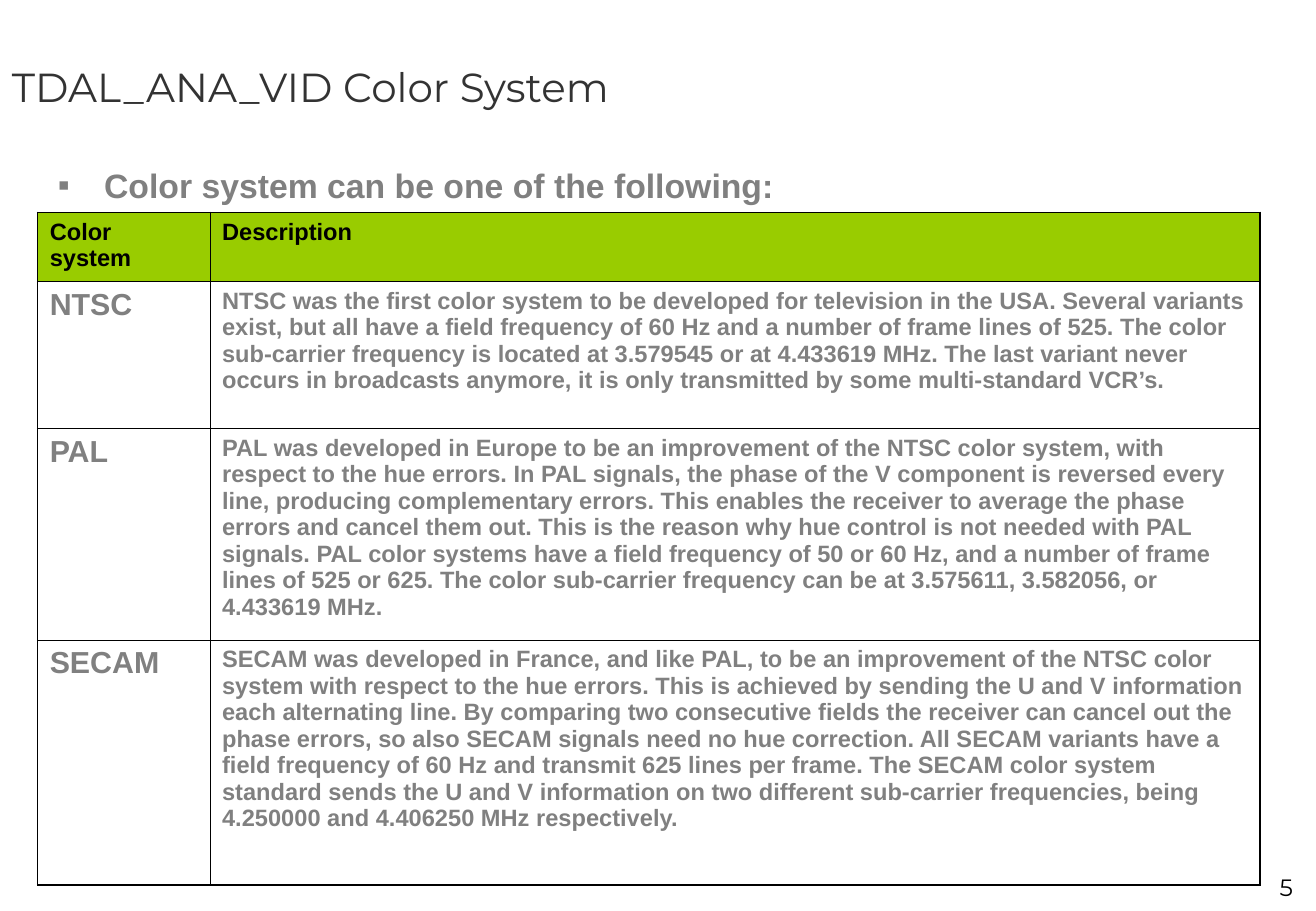
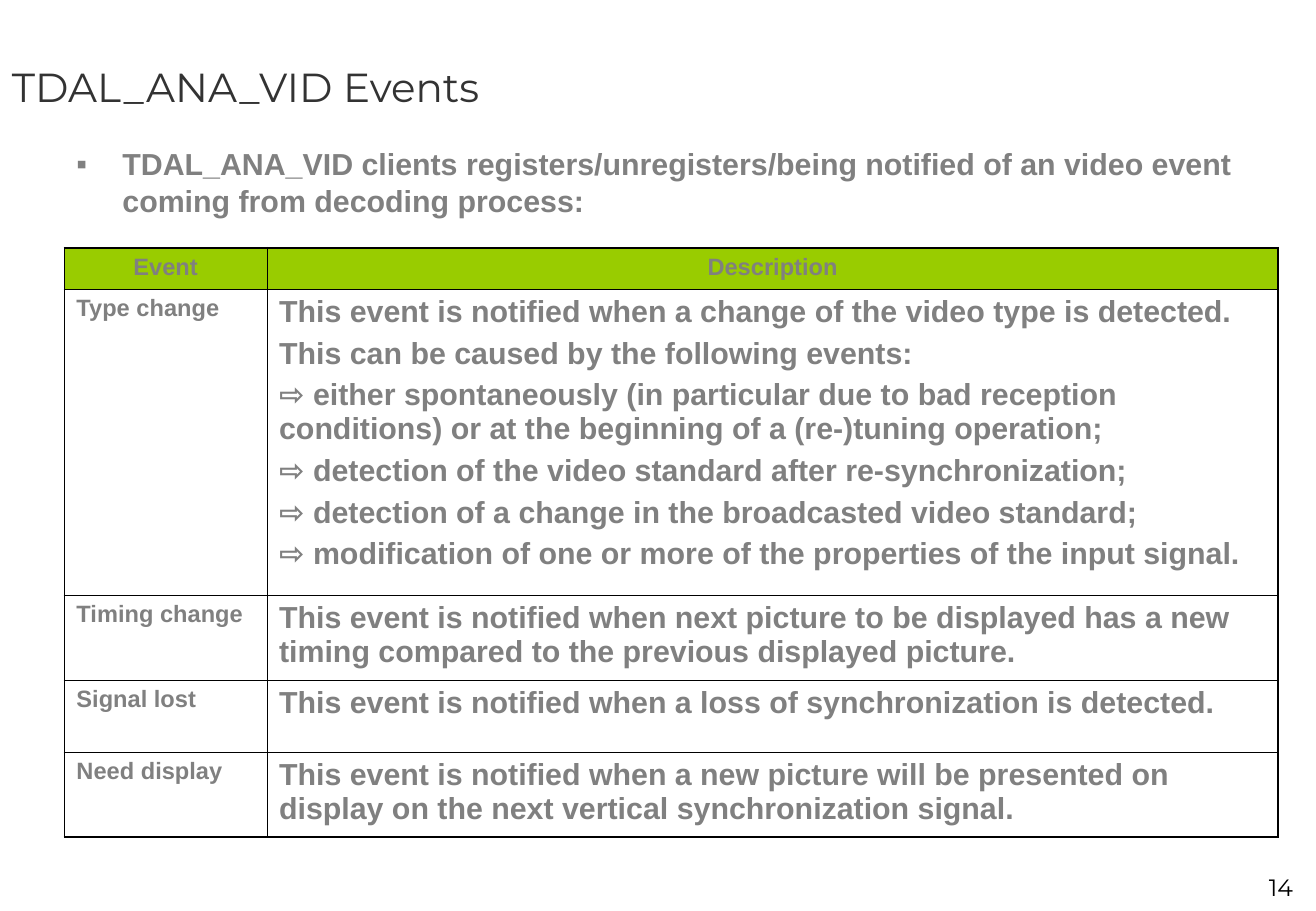
"""Build two slides on the video layer: colour systems and events."""
import dataclasses

import lxml.etree
import pptx
import pptx.dml.color
import pptx.enum.text
import pptx.oxml
import pptx.oxml.ns
import pptx.util


@dataclasses.dataclass(frozen=True)
class Theme:
    title_font: str = "Montserrat"
    body_font: str = "Arial"
    ink: str = "000000"
    title: str = "333333"
    grey: str = "808080"
    header: str = "99CC00"
    title_size: int = 24
    lead_size: int = 20
    large: int = 18
    small: int = 14
    outer_line: float = 1.08
    inner_line: float = 0.45


theme = Theme()
left = pptx.enum.text.PP_ALIGN.LEFT
center = pptx.enum.text.PP_ALIGN.CENTER
right = pptx.enum.text.PP_ALIGN.RIGHT
middle = pptx.enum.text.MSO_ANCHOR.MIDDLE
top = pptx.enum.text.MSO_ANCHOR.TOP
qn = pptx.oxml.ns.qn

deck = pptx.Presentation()
deck.slide_width = pptx.util.Inches(10.84)
deck.slide_height = pptx.util.Inches(7.5)
column = deck.slide_width / 100
row = deck.slide_height / 100


def write(frame, text, font, size, color, bold=False, align=left, bullet=None):
    frame.word_wrap = True
    frame.text = text
    for index, paragraph in enumerate(frame.paragraphs):
        if bullet:
            properties = paragraph._p.get_or_add_pPr()
            indent = pptx.util.Inches(0.38)
            properties.set("marL", str(indent))
            properties.set("indent", str(-indent))
            bullet_color = lxml.etree.SubElement(properties, qn("a:buClr"))
            lxml.etree.SubElement(bullet_color, qn("a:srgbClr"), val=color)
            lxml.etree.SubElement(properties, qn("a:buFont"), typeface=font)
            lxml.etree.SubElement(properties, qn("a:buChar"), char=bullet)
        paragraph.alignment = align
        if index:
            paragraph.space_before = pptx.util.Pt(size / 4)
        paragraph.font.name = font
        paragraph.font.size = pptx.util.Pt(size)
        paragraph.font.bold = bold
        paragraph.font.color.rgb = pptx.dml.color.RGBColor.from_string(color)


def place(area):
    x, y, width, height = area
    return [int(x * column), int(y * row), int(width * column), int(height * row)]


pages = [
    dict(
        title="TDAL_ANA_VID Color System",
        number="5",
        lead="Color system can be one of the following:",
        lead_area=(3.5, 17.47, 89.94, 74.53),
        lead_size=theme.lead_size,
        corner=(2.86, 23.33),
        columns=(13.1, 79.8),
        rows=(7.6, 16.13, 23.2, 26.93),
        header_color=theme.ink,
        header_align=left,
        sizes=(theme.large, theme.small),
        entries=[
            ("Color system", "Description"),
            ("NTSC",
             "NTSC was the first color system to be developed for television in the USA. "
             "Several variants exist, but all have a field frequency of 60 Hz and a number of "
             "frame lines of 525. The color sub-carrier frequency is located at 3.579545 or at "
             "4.433619 MHz. The last variant never occurs in broadcasts anymore, it is only "
             "transmitted by some multi-standard VCR’s."),
            ("PAL",
             "PAL was developed in Europe to be an improvement of the NTSC color system, with "
             "respect to the hue errors. In PAL signals, the phase of the V component is "
             "reversed every line, producing complementary errors. This enables the receiver "
             "to average the phase errors and cancel them out. This is the reason why hue "
             "control is not needed with PAL signals. PAL color systems have a field frequency "
             "of 50 or 60 Hz, and a number of frame lines of 525 or 625. The color sub-carrier "
             "frequency can be at 3.575611, 3.582056, or 4.433619 MHz."),
            ("SECAM",
             "SECAM was developed in France, and like PAL, to be an improvement of the NTSC "
             "color system with respect to the hue errors. This is achieved by sending the U "
             "and V information each alternating line. By comparing two consecutive fields the "
             "receiver can cancel out the phase errors, so also SECAM signals need no hue "
             "correction. All SECAM variants have a field frequency of 60 Hz and transmit 625 "
             "lines per frame. The SECAM color system standard sends the U and V information "
             "on two different sub-carrier frequencies, being 4.250000 and 4.406250 MHz "
             "respectively."),
        ],
    ),
    dict(
        title="TDAL_ANA_VID Events",
        number="14",
        lead="TDAL_ANA_VID clients registers/unregisters/being notified of an video event "
             "coming from decoding process:",
        lead_area=(4.89, 15.33, 91.42, 66),
        lead_size=theme.large,
        corner=(4.89, 27.2),
        columns=(15.4, 76.85),
        rows=(4.53, 33.6, 9.33, 7.87, 9.33),
        header_color=theme.grey,
        header_align=center,
        sizes=(theme.small, theme.large),
        entries=[
            ("Event", "Description"),
            ("Type change",
             "This event is notified when a change of the video type is detected.\n"
             "This can be caused by the following events:\n"
             "⇨ either spontaneously (in particular due to bad reception conditions) or at the "
             "beginning of a (re-)tuning operation;\n"
             "⇨ detection of the video standard after re-synchronization;\n"
             "⇨ detection of a change in the broadcasted video standard;\n"
             "⇨ modification of one or more of the properties of the input signal."),
            ("Timing change",
             "This event is notified when next picture to be displayed has a new timing "
             "compared to the previous displayed picture."),
            ("Signal lost",
             "This event is notified when a loss of synchronization is detected."),
            ("Need display",
             "This event is notified when a new picture will be presented on display on the "
             "next vertical synchronization signal."),
        ],
    ),
]

for page in pages:
    slide = deck.slides.add_slide(deck.slide_layouts[6])
    texts = [
        (page["title"], (0, 0, 100, 18.93), middle,
         dict(font=theme.title_font, size=theme.title_size, color=theme.title)),
        (page["lead"], page["lead_area"], top,
         dict(font=theme.body_font, size=page["lead_size"], color=theme.grey,
              bold=True, bullet="▪")),
        (page["number"], (88.47, 95.2, 10.7, 4.4), top,
         dict(font=theme.title_font, size=theme.small, color=theme.ink, align=right)),
    ]
    for text, area, anchor, style in texts:
        frame = slide.shapes.add_textbox(*place(area)).text_frame
        frame.vertical_anchor = anchor
        write(frame, text, **style)

    widths, heights, entries = page["columns"], page["rows"], page["entries"]
    area = (*page["corner"], sum(widths), sum(heights))
    grid = slide.shapes.add_table(len(heights), len(widths), *place(area)).table
    grid.first_row = grid.horz_banding = False
    for index, width in enumerate(widths):
        grid.columns[index].width = int(width * column)
    for r, height in enumerate(heights):
        grid.rows[r].height = int(height * row)
        for c, size in enumerate(page["sizes"]):
            cell = grid.cell(r, c)
            cell.margin_left = cell.margin_right = pptx.util.Inches(0.1)
            cell.margin_top = cell.margin_bottom = pptx.util.Inches(0.05)
            edges = {"L": c == 0, "R": c == len(widths) - 1,
                     "T": r == 0, "B": r == len(heights) - 1}
            for side, outer in edges.items():
                weight = pptx.util.Pt(theme.outer_line if outer else theme.inner_line)
                border = lxml.etree.SubElement(
                    cell._tc.get_or_add_tcPr(), qn(f"a:ln{side}"), w=str(weight))
                paint = lxml.etree.SubElement(border, qn("a:solidFill"))
                lxml.etree.SubElement(paint, qn("a:srgbClr"), val=theme.ink)
            if r == 0:
                cell.fill.solid()
                cell.fill.fore_color.rgb = pptx.dml.color.RGBColor.from_string(theme.header)
                write(cell.text_frame, entries[r][c], theme.body_font, theme.small,
                      page["header_color"], True, page["header_align"])
            else:
                cell.fill.background()
                write(cell.text_frame, entries[r][c], theme.body_font, size,
                      theme.grey, True)

deck.save("out.pptx")
